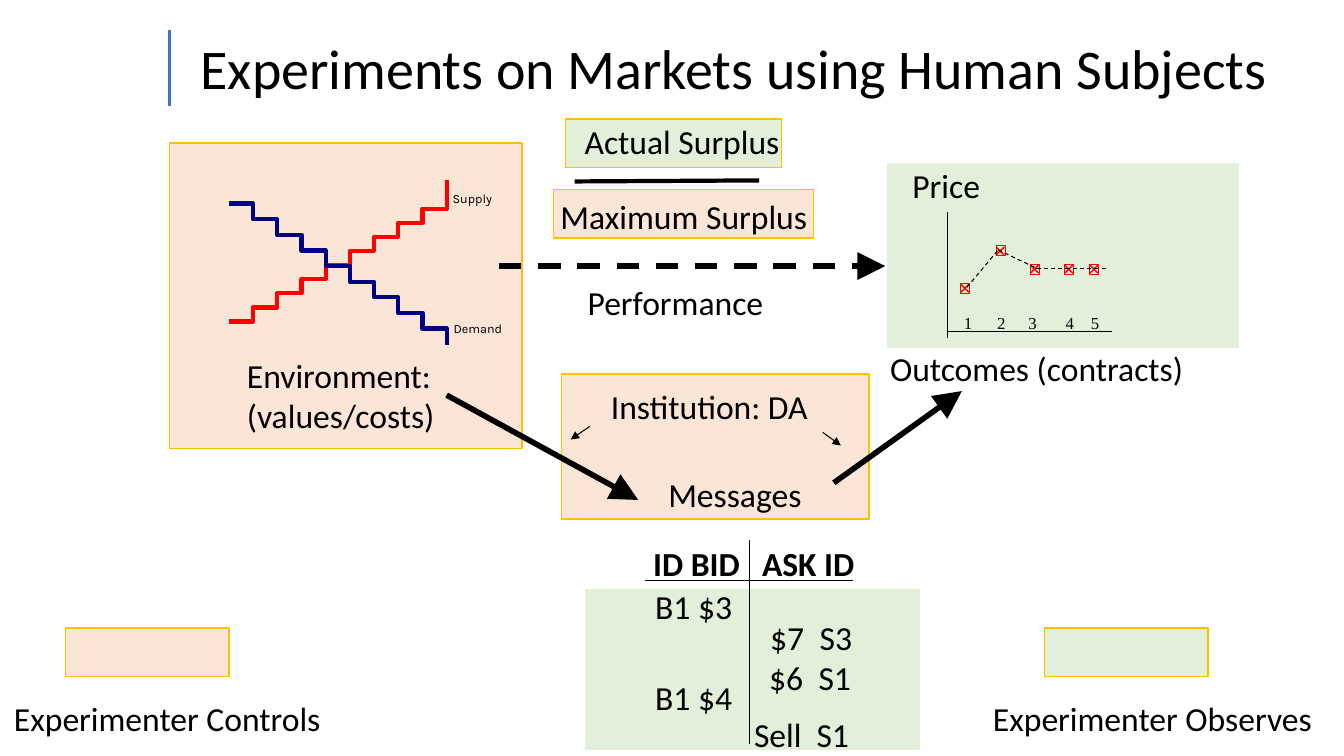
from pptx import Presentation
from pptx.dml.color import RGBColor
from pptx.enum.dml import MSO_LINE_DASH_STYLE as Dash
from pptx.enum.shapes import MSO_CONNECTOR as Link, MSO_SHAPE as Form
from pptx.enum.text import MSO_AUTO_SIZE as Fit, PP_ALIGN as Align
from pptx.oxml.ns import qn
from pptx.util import Inches, Pt
from lxml.etree import SubElement

BLACK = RGBColor(0x00, 0x00, 0x00)
RED = RGBColor(0xFF, 0x00, 0x00)
NAVY = RGBColor(0x00, 0x00, 0x80)
BLUE = RGBColor(0x44, 0x72, 0xC4)
GOLD = RGBColor(0xFF, 0xC0, 0x00)
GREEN = RGBColor(0xE2, 0xF0, 0xD9)
PEACH = RGBColor(0xFB, 0xE5, 0xD6)


class Canvas:
    """Holds the text style and the slide being drawn."""
    font = "Calibri"
    size = 24

    def __init__(self, slide):
        self.shapes = slide.shapes

    def paint(self, shape, fill, edge, width):
        shape.shadow.inherit = False
        if fill is None:
            shape.fill.background()
        else:
            shape.fill.solid()
            shape.fill.fore_color.rgb = fill
        shape.line.color.rgb = edge
        shape.line.width = Pt(width)

    def box(self, x, y, w, h, fill=None, edge=GOLD, width=1):
        shape = self.shapes.add_shape(
            Form.RECTANGLE, Inches(x), Inches(y), Inches(w), Inches(h))
        self.paint(shape, fill, edge, width)

    def text(self, x, y, w, h, words, size=None, font=None, bold=False,
             wrap=False, inset=True, tab=None):
        frame = self.shapes.add_textbox(
            Inches(x), Inches(y), Inches(w), Inches(h)).text_frame
        frame.word_wrap = wrap
        frame.auto_size = Fit.SHAPE_TO_FIT_TEXT
        if not inset:
            frame.margin_left = frame.margin_right = 0
            frame.margin_top = frame.margin_bottom = 0
        frame.text = words
        for para in frame.paragraphs:
            if wrap:
                para.alignment = Align.CENTER
            if tab:
                stops = SubElement(para._p.get_or_add_pPr(), qn("a:tabLst"))
                SubElement(stops, qn("a:tab"), pos=str(Inches(tab)), algn="l")
            for run in para.runs:
                run.font.name = font or self.font
                run.font.size = Pt(size or self.size)
                run.font.bold = bold
                run.font.color.rgb = BLACK

    def line(self, x1, y1, x2, y2, color=BLACK, width=0.75, dash=False,
             head=None):
        """Draw a straight line; head is the size of its arrowhead."""
        link = self.shapes.add_connector(
            Link.STRAIGHT, Inches(x1), Inches(y1), Inches(x2), Inches(y2))
        link.line.color.rgb = color
        link.line.width = Pt(width)
        if dash:
            link.line.dash_style = Dash.DASH
        props = link.element.spPr
        if head:
            SubElement(props.find(qn("a:ln")), qn("a:tailEnd"),
                       type="triangle", w=head, len=head)
        SubElement(props, qn("a:effectLst"))

    def stairs(self, x, y, rise, last, color):
        """Draw nine steps, the last with its own rise."""
        points = []
        start = x, y
        for step in range(9):
            x += 0.24
            points.append((Inches(x), Inches(y)))
            y += last if step == 8 else rise
            points.append((Inches(x), Inches(y)))
        pen = self.shapes.build_freeform(Inches(start[0]), Inches(start[1]))
        pen.add_line_segments(points, close=False)
        self.paint(pen.convert_to_shape(), None, color, 3)

    def mark(self, x, y):
        """Draw a crossed square centred on a contract price."""
        self.box(x - 0.04, y - 0.05, 0.09, 0.1, edge=RED, width=0.75)
        for dx, dy in ((-1, -1), (1, 1), (-1, 1), (1, -1)):
            self.line(x, y, x + 0.04 * dx, y + 0.04 * dy, RED, 1)


def draw_panels(art):
    art.box(10.36, 6.23, 1.62, 0.48, GREEN)
    art.box(5.49, 1.88, 2.58, 0.48, PEACH)
    art.text(5.46, 1.89, 2.67, 0.5, "Maximum Surplus")
    art.box(5.61, 1.18, 2.14, 0.48, GREEN)
    art.box(8.8, 1.62, 3.48, 1.83, GREEN, GREEN)
    art.box(5.81, 5.85, 3.31, 1.58, GREEN, GREEN)
    art.box(5.57, 3.71, 3.05, 1.44, PEACH)
    art.box(1.68, 1.42, 3.5, 3.03, PEACH)
    art.line(1.68, 0.3, 1.68, 1.05, BLUE, 2.25)
    art.text(1.89, 0.28, 10.89, 0.77,
             "Experiments on Markets using Human Subjects", 40)


def draw_market(art):
    art.text(2.35, 3.47, 2.08, 0.91, "Environment:\n(values/costs)")
    art.stairs(2.27, 3.19, -0.14, -0.28, RED)
    art.stairs(2.27, 2.02, 0.155, 0.16, NAVY)
    art.text(4.39, 1.84, 0.63, 0.25, "Supply", 9, "Karla")
    art.text(4.4, 3.13, 0.73, 0.25, "Demand", 9, "Karla")
    art.line(4.43, 3.92, 6.33, 4.96, width=4, head="lg")


def draw_book(art):
    art.text(6.38, 5.34, 2.73, 0.48, "ID BID\tASK ID", bold=True, tab=1.08)
    art.line(7.43, 5.36, 7.43, 7.38)
    art.line(6.4, 5.76, 8.46, 5.76)
    for y, bid in ((5.76, "B1 $3"), (6.67, "B1 $4")):
        art.text(6.4, y, 1.19, 0.48, bid)
    for x, y, ask, tab in ((7.54, 6.07, "$7\tS3", 0.49),
                           (7.53, 6.47, "$6\tS1", 0.49),
                           (7.38, 7.03, "Sell\tS1", 0.62)):
        art.text(x, y, 1.25, 0.48, ask, tab=tab)
    art.text(6.53, 4.65, 1.54, 0.5, "Messages")
    art.line(8.27, 4.79, 9.54, 3.88, width=4, head="lg")


def draw_prices(art):
    art.line(9.4, 2.1, 9.4, 3.35)
    art.line(9.4, 3.29, 11.03, 3.29)
    for num, x in enumerate((9.56, 9.89, 10.2, 10.57, 10.82), 1):
        art.text(x, 3.1, 0.08, 0.2, str(num), 12, "Times New Roman",
                 inset=False)
    for x, y in ((9.57, 2.86), (9.92, 2.49), (10.26, 2.67),
                 (10.6, 2.67), (10.85, 2.67)):
        art.mark(x, y)
    trend = [(9.59, 2.85), (9.9, 2.48), (10.28, 2.66), (10.97, 2.66)]
    for start, end in zip(trend, trend[1:]):
        art.line(*start, *end, dash=True)
    art.text(8.73, 3.4, 3.13, 0.5, "Outcomes (contracts)")
    art.line(4.95, 2.64, 8.78, 2.64, width=4, dash=True, head="lg")
    art.text(8.95, 1.59, 0.88, 0.5, "Price")


def draw_labels(art):
    art.line(5.7, 1.8, 7.53, 1.79, width=3)
    art.text(5.7, 1.15, 2.14, 0.5, "Actual Surplus")
    art.text(5.73, 2.75, 1.96, 0.5, "Performance")
    art.text(5.9, 3.78, 2.27, 0.5, "Institution: DA", wrap=True)
    art.line(5.85, 4.23, 5.66, 4.36, head="med")
    art.line(8.16, 4.29, 8.34, 4.42, head="med")
    art.box(0.65, 6.23, 1.62, 0.48, PEACH)
    art.text(0.04, 6.87, 3.27, 0.5, "Experimenter Controls")
    art.text(9.75, 6.87, 3.4, 0.5, "Experimenter Observes")


def main():
    deck = Presentation()
    deck.slide_width, deck.slide_height = Inches(13.33), Inches(7.5)
    art = Canvas(deck.slides.add_slide(deck.slide_layouts[6]))
    draw_panels(art)
    draw_market(art)
    draw_book(art)
    draw_prices(art)
    draw_labels(art)
    deck.save("out.pptx")


if __name__ == "__main__":
    main()
